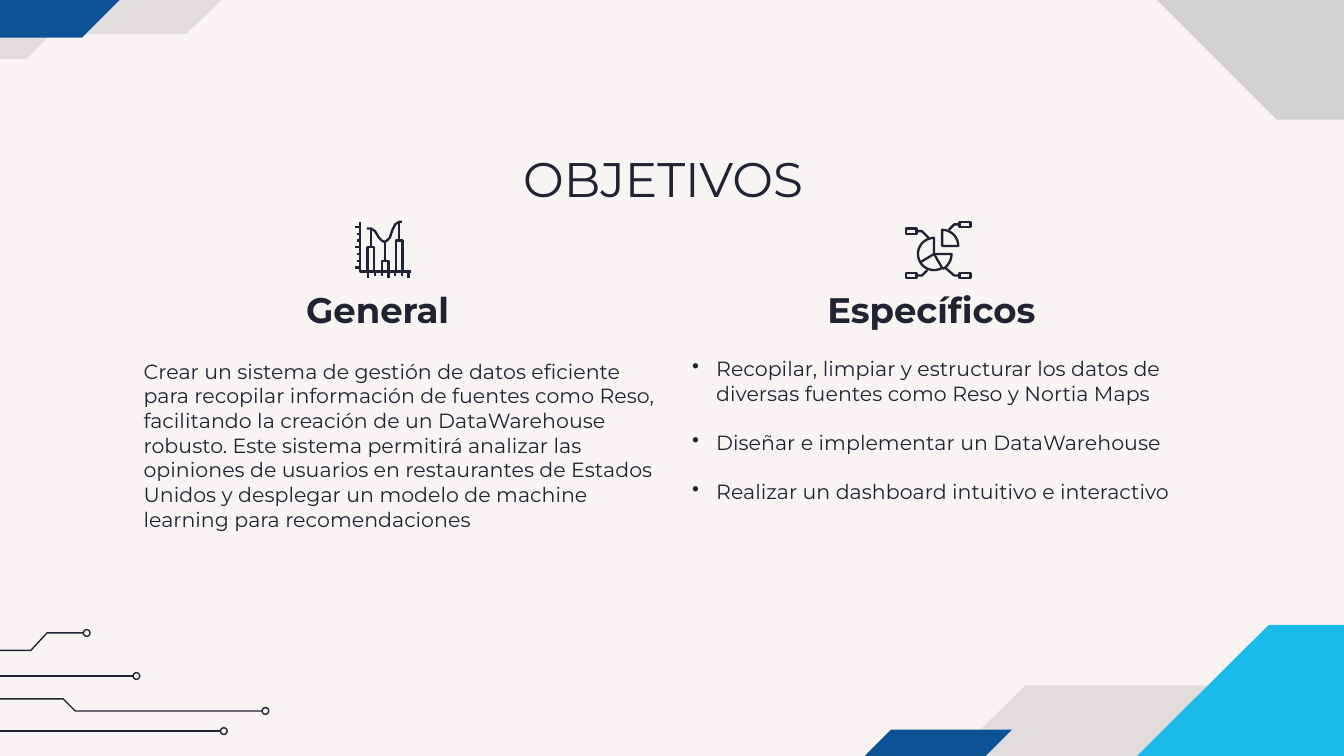
import math
from dataclasses import dataclass

import pptx
import pptx.dml.color
import pptx.enum.shapes
import pptx.enum.text
import pptx.oxml
import pptx.oxml.ns
import pptx.util
from lxml import etree

Point = tuple[float, float]
Path = list[Point]
ALIGN = pptx.enum.text.PP_ALIGN
ANCHOR = pptx.enum.text.MSO_ANCHOR

INK, NAVY, SKY, PAPER, BLACK = "202331", "0B5394", "1BBBE9", "F8F4F4", "000000"
FONT = "Montserrat"
NODE = 0.05


@dataclass
class Panel:
    points: Path
    color: str
    alpha: int = 100


@dataclass
class Objective:
    heading: str
    heading_left: float
    box: tuple[float, float, float, float]
    texts: list[str]
    bulleted: bool


PANELS = [
    Panel([(11.92, 4.8), (11.92, 8.1), (6.33, 8.1), (6.33, 5.68), (7.04, 5.68),
           (7.63, 5.1), (9.27, 5.1), (9.58, 4.8)], BLACK, 9),
    Panel([(11.19, 0.89), (11.19, -0.97), (7.64, -0.97), (9.5, 0.89)], BLACK, 14),
    Panel([(-1.23, 0.44), (-1.23, -1.57), (2.18, -1.57), (2.18, -0.1), (1.75, -0.1),
           (1.39, 0.25), (0.38, 0.25), (0.2, 0.44)], BLACK, 9),
    Panel([(-0.65, 0.28), (-0.36, -0.01), (0.9, -0.01), (0.61, 0.28)], NAVY),
    Panel([(6.43, 5.63), (6.63, 5.43), (7.53, 5.43), (7.33, 5.63)], NAVY),
    Panel([(11.3, 4.65), (11.3, 6.69), (7.39, 6.69), (9.44, 4.65)], SKY),
]

TRACES: list[Path] = [
    [(-0.67, 5.03), (0.99, 5.03)],
    [(-1.04, 4.84), (0.23, 4.84), (0.35, 4.71), (0.62, 4.71)],
    [(-1.36, 5.2), (0.47, 5.2), (0.56, 5.29), (1.95, 5.29)],
    [(-1.61, 5.44), (1.64, 5.44)],
]

OBJECTIVES = [
    Objective("General", 1.69, (0.97, 2.57, 4.12, 1.6), [
        "Crear un sistema de gestión de datos eficiente para recopilar información de "
        "fuentes como Reso, facilitando la creación de un DataWarehouse robusto. Este "
        "sistema permitirá analizar las opiniones de usuarios en restaurantes de Estados "
        "Unidos y desplegar un modelo de machine learning para recomendaciones"], False),
    Objective("Específicos", 5.81, (5.04, 2.55, 3.79, 2.06), [
        "Recopilar, limpiar y estructurar los datos de diversas fuentes como Reso y "
        "Nortia Maps",
        "Diseñar e implementar un DataWarehouse",
        "Realizar un dashboard intuitivo e interactivo"], True),
]


def length(inches: float) -> pptx.util.Length:
    return pptx.util.Cm(inches * 2.54)


def rgb(color: str) -> pptx.dml.color.RGBColor:
    return pptx.dml.color.RGBColor.from_string(color)


def set_line(sp, width: float) -> None:
    sp.line.color.rgb = rgb(INK)
    sp.line.width = pptx.util.Pt(width)


def add_outline(s, paths: list[Path], close: bool = False):
    """Add one freeform holding every path, given in inches."""
    builder = None
    for path in paths:
        points = [(length(x), length(y)) for x, y in path]
        if builder is None:
            builder = s.shapes.build_freeform(*points[0])
        else:
            builder.move_to(*points[0])
        builder.add_line_segments(points[1:], close=close)
    sp = builder.convert_to_shape()
    sp.shadow.inherit = False
    return sp


def add_panel(s, panel: Panel) -> None:
    sp = add_outline(s, [panel.points], close=True)
    sp.fill.solid()
    sp.fill.fore_color.rgb = rgb(panel.color)
    sp.line.fill.background()
    if panel.alpha < 100:
        color = sp._element.spPr.find(".//" + pptx.oxml.ns.qn("a:srgbClr"))
        etree.SubElement(color, pptx.oxml.ns.qn("a:alpha"), val=str(panel.alpha * 1000))


def add_strokes(s, paths: list[Path], width: float) -> None:
    sp = add_outline(s, paths)
    sp.fill.background()
    set_line(sp, width)


def add_trace(s, path: Path) -> None:
    """Add a circuit line with a ring at its right end."""
    if len(path) == 2:
        sp = s.shapes.add_connector(pptx.enum.shapes.MSO_CONNECTOR.STRAIGHT,
                                    *(length(v) for point in path for v in point))
        etree.SubElement(sp._element.spPr, pptx.oxml.ns.qn("a:effectLst"))
        set_line(sp, 0.75)
    else:
        add_strokes(s, [path], 0.75)
    x, y = path[-1]
    ring = s.shapes.add_shape(pptx.enum.shapes.MSO_SHAPE.OVAL, length(x),
                              length(y - NODE / 2), length(NODE), length(NODE))
    ring.shadow.inherit = False
    ring.fill.background()
    set_line(ring, 0.75)


def arc(cx: float, cy: float, radius: float, start: int, end: int) -> Path:
    """Points on a circle, in degrees clockwise from the right."""
    step = 10 if end > start else -10
    return [(cx + radius * math.cos(math.radians(a)), cy + radius * math.sin(math.radians(a)))
            for a in range(start, end + step, step)]


def bar_chart_icon() -> list[Path]:
    paths = [[(2.68, 1.65), (2.68, 2.02), (3.06, 2.02)],
             [(2.73, 1.7), (2.76, 1.7), (2.79, 1.72), (2.82, 1.77), (2.84, 1.79),
              (2.86, 1.8), (2.88, 1.79), (2.9, 1.77), (2.92, 1.71), (2.94, 1.67),
              (2.97, 1.65), (2.99, 1.65)]]
    for i in range(7):
        y, x = 1.69 + 0.05 * i, 2.74 + 0.05 * i
        paths.append([(2.64 if i % 3 == 0 else 2.66, y), (2.68, y)])
        paths.append([(x, 2.02), (x, 2.07 if i % 3 == 0 else 2.05)])
    for x, stem, top in [(2.76, 1.7, 1.84), (2.865, 1.8, 1.94), (2.97, 1.65, 1.79)]:
        paths.append([(x, stem), (x, top)])
        paths.append([(x - 0.025, 2.02), (x - 0.025, top), (x + 0.025, top), (x + 0.025, 2.02)])
    return paths


def pie_chart_icon() -> list[Path]:
    center, corner = (6.95, 1.89), (7.01, 1.83)
    paths = [[center, *arc(*center, 0.12, 270, 60), center],
             [center, *arc(*center, 0.13, 0, 60)],
             [center, (7.08, 1.89)],
             [center, (6.85, 1.95)],
             [corner, *arc(*corner, 0.12, 270, 360), corner]]
    leads = [[(6.82, 1.72), (6.86, 1.72), (6.91, 1.77)],
             [(7.14, 1.67), (7.1, 1.67), (7.06, 1.71)],
             [(6.82, 2.05), (6.86, 2.05), (6.9, 2.01)],
             [(7.14, 2.05), (7.1, 2.05), (7.03, 1.99)]]
    for lead in leads:
        x, y = lead[0]
        far = x - 0.08 if x < center[0] else x + 0.08
        tag = [(x, y - 0.02), (far, y - 0.02), (far, y + 0.02), (x, y + 0.02), (x, y - 0.02)]
        paths += [lead, tag]
    return paths


def place(sp, left: float, top: float, width: float, height: float) -> None:
    sp.left, sp.top, sp.width, sp.height = map(length, (left, top, width, height))


def write(sp, texts: list[str], size: int, align, anchor=ANCHOR.TOP,
          bold: bool = False, bulleted: bool = False) -> None:
    tf = sp.text_frame
    tf.word_wrap = True
    tf.auto_size = pptx.enum.text.MSO_AUTO_SIZE.NONE
    tf.vertical_anchor = anchor
    tf.margin_left = tf.margin_right = tf.margin_top = tf.margin_bottom = length(0.1)
    for i, text in enumerate(texts):
        p = tf.add_paragraph() if i else tf.paragraphs[0]
        p.text = text
        p.alignment = align
        p.font.name, p.font.size, p.font.bold = FONT, pptx.util.Pt(size), bold
        p.font.color.rgb = rgb(INK)
        if i:
            p.space_before = pptx.util.Pt(13.2)
        if bulleted:
            pPr = p._p.get_or_add_pPr()
            pPr.set("marL", str(length(0.19)))
            pPr.set("indent", str(length(-0.18)))
            bullet = etree.Element(pptx.oxml.ns.qn("a:buChar"), char="•")
            pPr.find(pptx.oxml.ns.qn("a:defRPr")).addprevious(bullet)


def add_objective(s, objective: Objective) -> None:
    body = s.shapes.add_textbox(*map(length, objective.box))
    write(body, objective.texts, 11, ALIGN.LEFT, bulleted=objective.bulleted)
    heading = s.shapes.add_textbox(*map(length, (objective.heading_left, 1.99, 2.24, 0.57)))
    write(heading, [objective.heading], 19, ALIGN.CENTER, ANCHOR.BOTTOM, bold=True)


def main() -> None:
    prs = pptx.Presentation()
    prs.slide_width, prs.slide_height = length(10), length(5.625)
    s = prs.slides.add_slide(prs.slide_layouts.get_by_name("Title Only"))
    s.background.fill.solid()
    s.background.fill.fore_color.rgb = rgb(PAPER)
    for panel in PANELS:
        add_panel(s, panel)
    for path in TRACES:
        add_trace(s, path)
    place(s.shapes.title, 0.72, 1.01, 8.43, 0.63)
    write(s.shapes.title, ["OBJETIVOS"], 26, ALIGN.CENTER)
    for objective in OBJECTIVES:
        add_objective(s, objective)
    for icon in (bar_chart_icon(), pie_chart_icon()):
        add_strokes(s, icon, 1.25)
    prs.save("out.pptx")


if __name__ == "__main__":
    main()
